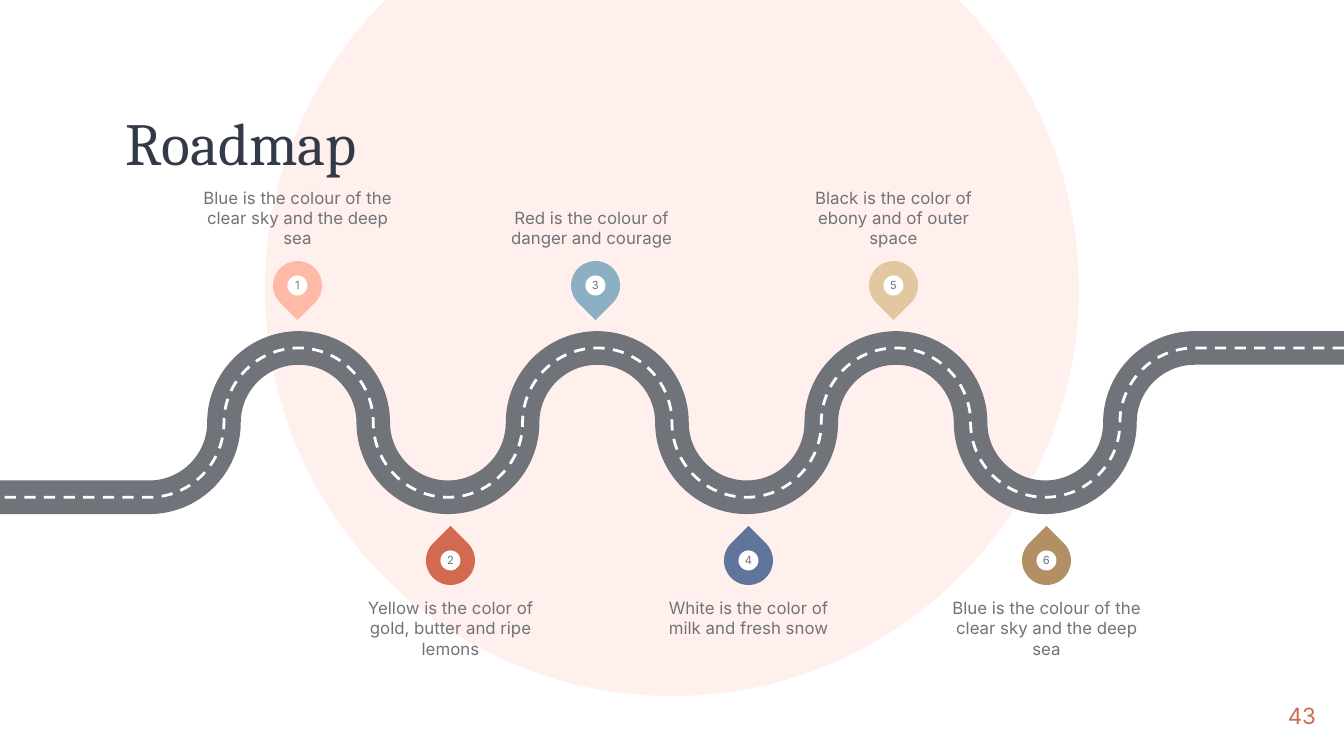
from lxml import etree
from pptx import Presentation
from pptx.dml.color import RGBColor
from pptx.enum.dml import MSO_LINE_DASH_STYLE as Dash
from pptx.enum.shapes import MSO_SHAPE as Shape
from pptx.enum.text import MSO_ANCHOR as Anchor, PP_ALIGN as Align
from pptx.oxml.ns import qn
from pptx.util import Pt

PX = 914400 / 134.4
WIDTH, HEIGHT = 1344, 756
SERIF, SANS = "Cambria", "Inter"
BEZIER = 0.55  # handle length of a quarter circle, in radii

WHITE = RGBColor(0xFF, 0xFF, 0xFF)
BLUSH = RGBColor(0xFF, 0xF0, 0xED)
INK = RGBColor(0x33, 0x3A, 0x47)
GREY = RGBColor(0x70, 0x73, 0x79)
PEACH = RGBColor(0xFF, 0xB9, 0xA7)
RUST = RGBColor(0xD2, 0x6A, 0x50)
SKY = RGBColor(0x8B, 0xB0, 0xC4)
NAVY = RGBColor(0x5F, 0x75, 0x9B)
SAND = RGBColor(0xE2, 0xC7, 0xA1)
BRONZE = RGBColor(0xB2, 0x8F, 0x64)

# text, colour, left of the pin, left of the label; odd steps lie above the road
STEPS = [
    ("Blue is the colour of the clear sky and the deep sea", PEACH, 273, 203),
    ("Yellow is the color of gold, butter and ripe lemons", RUST, 426, 356),
    ("Red is the colour of danger and courage", SKY, 571, 497),
    ("White is the color of milk and fresh snow", NAVY, 724, 654),
    ("Black is the color of ebony and of outer space", SAND, 869, 799),
    ("Blue is the colour of the clear sky and the deep sea", BRONZE, 1022, 952),
]


def emu(*lengths):
    return [round(v * PX) for v in lengths]


def write(sp, text, size, color, font=SANS, align=Align.CENTER, anchor=Anchor.MIDDLE):
    tf = sp.text_frame
    tf.word_wrap = True
    tf.vertical_anchor = anchor
    tf.margin_left = tf.margin_top = tf.margin_right = tf.margin_bottom = 0
    p = tf.paragraphs[0]
    p.alignment = align
    r = p.add_run()
    r.text = text
    r.font.size, r.font.name = Pt(size), font
    r.font.color.rgb = color
    return p


def add_solid(shapes, kind, box, color):
    sp = shapes.add_shape(kind, *emu(*box))
    sp.shadow.inherit = False
    sp.fill.solid()
    sp.fill.fore_color.rgb = color
    sp.line.fill.background()
    return sp


def add_backdrop(s, x, y, size):
    sp = add_solid(s.shapes, Shape.CHORD, (x, y, size, size), BLUSH)
    sp.rotation = 270
    sp.adjustments[0], sp.adjustments[1] = 26.74, 189.22


def round_corners(sp):
    """Turn every line but the first and last into a quarter circle."""
    lines = list(sp.element.iter(qn("a:lnTo")))
    ends = [(int(pt.get("x")), int(pt.get("y"))) for pt in (line[0] for line in lines)]
    for i, line in enumerate(lines[1:-1]):
        (x0, y0), (x1, y1) = ends[i], ends[i + 1]
        dx, dy = BEZIER * (x1 - x0), BEZIER * (y1 - y0)
        if i % 2 == 0:
            handles = (x0 + dx, y0), (x1, y1 - dy)
        else:
            handles = (x0, y0 + dy), (x1 - dx, y1)
        line.tag = qn("a:cubicBezTo")
        for k, (x, y) in enumerate(handles):
            pt = etree.Element(qn("a:pt"), x=str(round(x)), y=str(round(y)))
            line.insert(k, pt)


def add_road(s, x, y, w):
    """Run the road from right to left, with a straight piece at each end."""
    radius = w / 18
    bends = [(x + (16 - i) * radius, y + (0, 1, 2, 1)[i % 4] * radius) for i in range(15)]
    knots = [(x + w, y), *bends, (x, y + 2 * radius)]
    start, *rest = [emu(*knot) for knot in knots]
    for color, weight, dash in ((GREY, 18, None), (WHITE, 1.5, Dash.DASH)):
        builder = s.shapes.build_freeform(*start)
        builder.add_line_segments(rest, close=False)
        sp = builder.convert_to_shape()
        round_corners(sp)
        sp.shadow.inherit = False
        sp.fill.background()
        sp.line.color.rgb = color
        sp.line.width = Pt(weight)
        if dash:
            sp.line.dash_style = dash


def add_pin(s, x, y, size, number, color, rotation):
    group = s.shapes.add_group_shape()
    add_solid(group.shapes, Shape.TEAR, (x, y, size, size), color).rotation = rotation
    dot = 20
    gap = (size - dot) / 2
    sp = add_solid(group.shapes, Shape.OVAL, (x + gap, y + gap, dot, dot), WHITE)
    write(sp, str(number), 6, GREY)


def add_steps(s, top, bottom):
    """Place odd steps hanging from top and even steps standing on bottom."""
    pin, label_w, label_h, gap = 49, 189, 78, 13
    for number, (text, color, pin_x, label_x) in enumerate(STEPS, 1):
        if number % 2:
            label_y, anchor, rotation = top, Anchor.BOTTOM, 135
            pin_y = top + label_h + gap
        else:
            label_y, anchor, rotation = bottom - label_h, Anchor.TOP, 315
            pin_y = label_y - gap - pin
        add_pin(s, pin_x, pin_y, pin, number, color, rotation)
        label = s.shapes.add_textbox(*emu(label_x, label_y, label_w, label_h))
        write(label, text, 9, GREY, anchor=anchor)


def add_title(s, x, y, w, h):
    p = write(s.shapes.add_textbox(*emu(x, y, w, h)), "Roadmap", 32, INK, SERIF, Align.LEFT)
    p.line_spacing = 0.9


def add_page_number(s, x, y, w, h):
    write(s.shapes.add_textbox(*emu(x, y, w, h)), "43", 12, RUST, align=Align.RIGHT)


def main():
    prs = Presentation()
    prs.slide_width, prs.slide_height = emu(WIDTH, HEIGHT)
    s = prs.slides.add_slide(prs.slide_layouts[6])
    s.background.fill.solid()
    s.background.fill.fore_color.rgb = WHITE
    add_backdrop(s, 265, -118, 814)
    add_title(s, 126, 111, 669, 71)
    add_page_number(s, 1235, 687, 81, 58)
    add_road(s, 0, 348, WIDTH)
    add_steps(s, 170, 676)
    prs.save("out.pptx")


if __name__ == "__main__":
    main()
